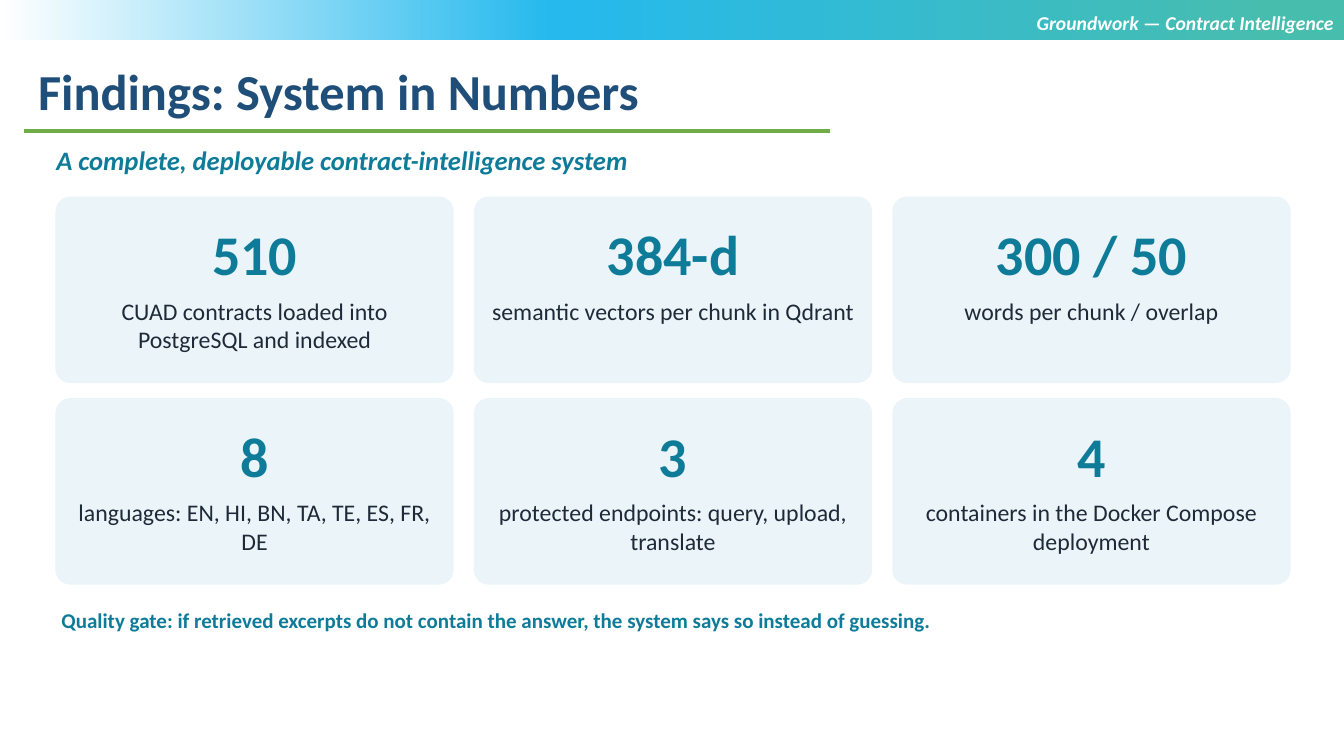
from copy import deepcopy
from dataclasses import dataclass

from pptx import Presentation
from pptx import util as u
from pptx.dml import color
from pptx.enum import shapes, text
from pptx.oxml import xmlchemy

FONT = "Calibri"
TEAL = "0E7C99"
NAVY = "1F4E79"
INK = "1E2A38"
WHITE = "FFFFFF"
GREEN = "70AD47"
CARD_FILL = "EAF4F9"

COLUMNS = 3
CARD_LEFT, CARD_TOP = 0.55, 1.95
CARD_WIDTH, CARD_HEIGHT = 3.95, 1.85
COLUMN_STEP, ROW_STEP = 4.15, 2.0


@dataclass(frozen=True)
class Area:
    left: float
    top: float
    width: float
    height: float

    def lengths(self) -> list[u.Length]:
        return [u.Inches(v) for v in (self.left, self.top, self.width, self.height)]


@dataclass(frozen=True)
class Style:
    size: float
    color: str
    bold: bool = True
    italic: bool = False
    align: text.PP_ALIGN = text.PP_ALIGN.LEFT
    anchor: text.MSO_ANCHOR = text.MSO_ANCHOR.TOP
    inset_x: float = 0.06
    inset_y: float = 0.03
    space_after: float = 3


@dataclass(frozen=True)
class Finding:
    figure: str
    label: str


TITLE = Style(36, NAVY, inset_x=0.1, inset_y=0.05, space_after=0)
HEADER = Style(14, WHITE, italic=True, align=text.PP_ALIGN.RIGHT,
               inset_x=0.1, inset_y=0.05, space_after=0)
SUBTITLE = Style(19, TEAL, italic=True)
FIGURE = Style(40, TEAL, align=text.PP_ALIGN.CENTER, anchor=text.MSO_ANCHOR.MIDDLE)
LABEL = Style(17, INK, bold=False, align=text.PP_ALIGN.CENTER)
FOOTNOTE = Style(15, TEAL)

FINDINGS = [
    Finding("510", "CUAD contracts loaded into PostgreSQL and indexed"),
    Finding("384-d", "semantic vectors per chunk in Qdrant"),
    Finding("300 / 50", "words per chunk / overlap"),
    Finding("8", "languages: EN, HI, BN, TA, TE, ES, FR, DE"),
    Finding("3", "protected endpoints: query, upload, translate"),
    Finding("4", "containers in the Docker Compose deployment"),
]
BAND_STOPS = [(0.05, "47BDAE"), (0.59, "25B9ED"), (1.0, WHITE)]


def rgb(value: str) -> color.RGBColor:
    return color.RGBColor.from_string(value)


def add_text(page, area: Area, content: str, style: Style) -> None:
    box = page.shapes.add_textbox(*area.lengths())
    frame = box.text_frame
    frame.word_wrap = True
    frame.auto_size = text.MSO_AUTO_SIZE.SHAPE_TO_FIT_TEXT
    frame.vertical_anchor = style.anchor
    frame.margin_left = frame.margin_right = u.Inches(style.inset_x)
    frame.margin_top = frame.margin_bottom = u.Inches(style.inset_y)
    para = frame.paragraphs[0]
    para.alignment = style.align
    para.space_after = u.Pt(style.space_after)
    span = para.add_run()
    span.text = content
    span.font.name = FONT
    span.font.size = u.Pt(style.size)
    span.font.bold = style.bold
    span.font.italic = style.italic
    span.font.color.rgb = rgb(style.color)


def add_band(page) -> None:
    band = page.shapes.add_shape(
        shapes.MSO_SHAPE.RECTANGLE, *Area(0, 0, 13.33, 0.4).lengths())
    band.shadow.inherit = False
    band.line.fill.background()
    band.fill.gradient()
    band.fill.gradient_angle = 180
    stop_list = band._element.spPr.xpath(".//a:gsLst")[0]
    stop_list.append(deepcopy(stop_list[-1]))
    for stop, (position, value) in zip(band.fill.gradient_stops, BAND_STOPS):
        stop.position = position
        stop.color.rgb = rgb(value)


def add_title_rule(page) -> None:
    rule = page.shapes.add_connector(
        shapes.MSO_CONNECTOR.STRAIGHT,
        u.Inches(0.24), u.Inches(1.3), u.Inches(8.23), u.Inches(1.3))
    rule.line.color.rgb = rgb(GREEN)
    rule.line.width = u.Pt(2.25)
    effects = xmlchemy.OxmlElement("a:effectLst")
    rule._element.spPr.append(effects)


def add_card(page, left: float, top: float, finding: Finding) -> None:
    card = page.shapes.add_shape(
        shapes.MSO_SHAPE.ROUNDED_RECTANGLE,
        *Area(left, top, CARD_WIDTH, CARD_HEIGHT).lengths())
    card.adjustments[0] = 0.08
    card.shadow.inherit = False
    card.fill.solid()
    card.fill.fore_color.rgb = rgb(CARD_FILL)
    card.line.fill.background()
    add_text(page, Area(left + 0.1, top + 0.1, CARD_WIDTH - 0.2, 0.93),
             finding.figure, FIGURE)
    add_text(page, Area(left + 0.12, top + 0.96, CARD_WIDTH - 0.24, 0.85),
             finding.label, LABEL)


def main() -> None:
    deck = Presentation()
    deck.slide_width = u.Inches(13.33)
    deck.slide_height = u.Inches(7.5)
    page = deck.slides.add_slide(deck.slide_layouts[6])

    add_band(page)
    add_text(page, Area(0.28, 0.55, 11.62, 0.7), "Findings: System in Numbers", TITLE)
    add_title_rule(page)
    add_text(page, Area(6.66, 0.06, 6.67, 0.7),
             "Groundwork — Contract Intelligence", HEADER)
    add_text(page, Area(0.5, 1.4, 12.3, 0.42),
             "A complete, deployable contract-intelligence system", SUBTITLE)
    for index, finding in enumerate(FINDINGS):
        row, column = divmod(index, COLUMNS)
        add_card(page, CARD_LEFT + column * COLUMN_STEP,
                 CARD_TOP + row * ROW_STEP, finding)
    add_text(page, Area(0.55, 6, 12.2, 0.4),
             "Quality gate: if retrieved excerpts do not contain the answer, "
             "the system says so instead of guessing.", FOOTNOTE)

    deck.save("out.pptx")


if __name__ == "__main__":
    main()
